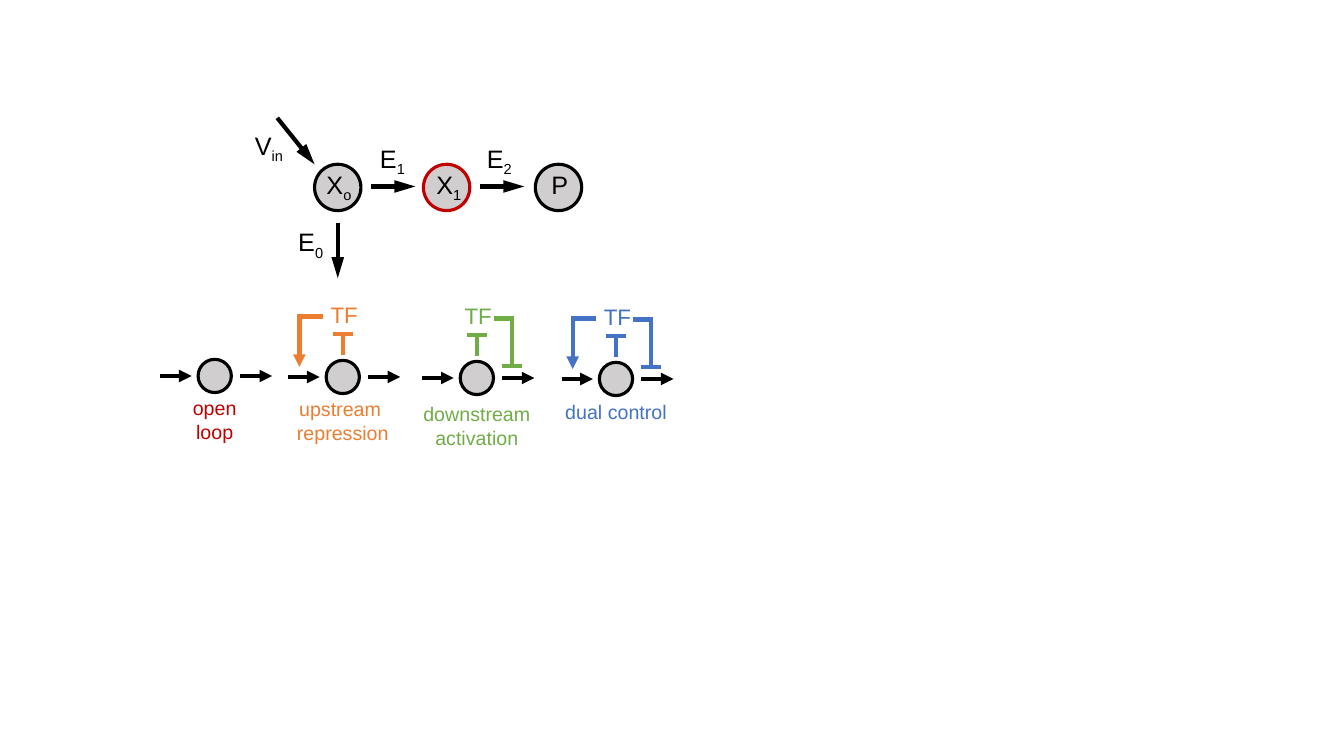
from dataclasses import dataclass

from lxml.etree import SubElement
from pptx import Presentation
from pptx.dml.color import RGBColor
from pptx.enum.shapes import MSO_CONNECTOR, MSO_SHAPE
from pptx.enum.text import MSO_AUTO_SIZE, PP_ALIGN
from pptx.oxml.ns import qn
from pptx.util import Inches, Pt


@dataclass(frozen=True)
class Theme:
    font: str = "Arial"
    black: str = "000000"
    node_fill: str = "D0CECE"
    red: str = "C00000"
    orange: str = "ED7D31"
    green: str = "70AD47"
    blue: str = "4472C4"
    symbol_size: int = 18
    factor_size: int = 16
    label_size: int = 14
    outline: float = 2.25
    stroke: float = 3


THEME = Theme()

# Pathway: centre x of each metabolite, outline colour
PATHWAY_Y = 1.86
METABOLITES = [(3.35, THEME.black), (4.43, THEME.red), (5.54, THEME.black)]
REACTIONS = [
    ((2.75, 1.17), (3.12, 1.63)),
    ((3.68, 1.85), (4.12, 1.85)),
    ((4.76, 1.85), (5.20, 1.85)),
    ((3.35, 2.21), (3.35, 2.76)),
]
# Letter, subscript, box (left, top, width, height)
SYMBOLS = [
    ("X", "o", (3.14, 1.63, 0.46, 0.71)),
    ("X", "1", (4.23, 1.63, 0.46, 0.40)),
    ("P", "", (5.37, 1.63, 0.37, 0.71)),
    ("E", "1", (3.67, 1.37, 0.46, 0.71)),
    ("E", "2", (4.73, 1.37, 0.46, 0.71)),
    ("E", "0", (2.86, 2.20, 0.46, 0.71)),
    ("V", "in", (2.43, 1.24, 0.50, 0.71)),
]

# Control motifs: node centre, colour, label lines, label (top, width, height), feedback sides
MOTIFS = [
    ((3.40, 3.74), THEME.orange, ["upstream ", "repression"], (3.89, 1.12, 0.57), ["left"]),
    ((4.73, 3.75), THEME.green, ["downstream", "activation"], (3.94, 1.27, 0.57), ["right"]),
    ((6.11, 3.76), THEME.blue, ["dual control"], (3.92, 1.21, 0.34), ["left", "right"]),
    ((2.13, 3.73), THEME.red, ["open", "loop"], (3.88, 0.64, 0.57), []),
]

# Strokes as offsets from the node centre: start, end, has arrowhead
FLOW = [((-0.54, 0), (-0.23, 0), True), ((0.25, 0), (0.57, 0), True)]
SENSING = [((0, -0.22), (0, -0.42), False), ((0.10, -0.43), (-0.10, -0.43), False)]
FEEDBACK = {
    "left": [
        ((-0.20, -0.60), (-0.45, -0.60), False),
        ((-0.43, -0.60), (-0.43, -0.10), True),
    ],
    "right": [
        ((0.17, -0.59), (0.37, -0.59), False),
        ((0.35, -0.60), (0.35, -0.10), False),
        ((0.45, -0.12), (0.25, -0.12), False),
    ],
}


def add_node(group, center, diameter, outline):
    left, top = (value - diameter / 2 for value in center)
    shape = group.shapes.add_shape(
        MSO_SHAPE.OVAL, Inches(left), Inches(top), Inches(diameter), Inches(diameter)
    )
    shape.shadow.inherit = False
    shape.fill.solid()
    shape.fill.fore_color.rgb = RGBColor.from_string(THEME.node_fill)
    shape.line.color.rgb = RGBColor.from_string(outline)
    shape.line.width = Pt(THEME.outline)


def add_stroke(group, start, end, color, head_length=None):
    """Draw a line; head_length ("med" or "lg") adds an arrowhead at its end."""
    connector = group.shapes.add_connector(
        MSO_CONNECTOR.STRAIGHT, *(Inches(value) for value in (*start, *end))
    )
    connector.line.color.rgb = RGBColor.from_string(color)
    connector.line.width = Pt(THEME.stroke)
    properties = connector._element.spPr
    if head_length:
        SubElement(
            properties.find(qn("a:ln")), qn("a:tailEnd"),
            type="triangle", w="med", len=head_length,
        )
    SubElement(properties, qn("a:effectLst"))


def add_text(group, box, lines, size, color, alignment=PP_ALIGN.LEFT, subscript=""):
    """Write one paragraph per line, with an optional subscript after the last."""
    shape = group.shapes.add_textbox(*(Inches(value) for value in box))
    text_frame = shape.text_frame
    text_frame.text = "\n".join(lines)
    text_frame.word_wrap = False
    text_frame.auto_size = MSO_AUTO_SIZE.SHAPE_TO_FIT_TEXT
    if subscript:
        run = text_frame.paragraphs[-1].add_run()
        run.text = subscript
        run.font._element.set("baseline", "-25000")
    for paragraph in text_frame.paragraphs:
        paragraph.alignment = alignment
        for run in paragraph.runs:
            run.font.name = THEME.font
            run.font.size = Pt(size)
            run.font.color.rgb = RGBColor.from_string(color)


def add_pathway(slide):
    group = slide.shapes.add_group_shape()
    for center_x, outline in METABOLITES:
        add_node(group, (center_x, PATHWAY_Y), 0.46, outline)
    for start, end in REACTIONS:
        add_stroke(group, start, end, THEME.black, "lg")
    for letter, subscript, box in SYMBOLS:
        add_text(group, box, [letter], THEME.symbol_size, THEME.black, subscript=subscript)


def add_motif(slide, center, color, label, label_box, sides):
    group = slide.shapes.add_group_shape()
    center_x, center_y = center
    add_node(group, center, 0.33, THEME.black)

    strokes = [(stroke, THEME.black) for stroke in FLOW]
    if sides:
        control = SENSING + [stroke for side in sides for stroke in FEEDBACK[side]]
        strokes += [(stroke, color) for stroke in control]
        factor_box = (center_x - 0.22, center_y - 0.80, 0.48, 0.37)
        add_text(group, factor_box, ["TF"], THEME.factor_size, color)
    for ((start_x, start_y), (end_x, end_y), has_head), stroke_color in strokes:
        add_stroke(
            group,
            (center_x + start_x, center_y + start_y),
            (center_x + end_x, center_y + end_y),
            stroke_color,
            "med" if has_head else None,
        )

    top, width, height = label_box
    box = (center_x - width / 2, top, width, height)
    add_text(group, box, label, THEME.label_size, color, PP_ALIGN.CENTER)


def main():
    presentation = Presentation()
    presentation.slide_width = Inches(13.33)
    presentation.slide_height = Inches(7.5)
    slide = presentation.slides.add_slide(presentation.slide_layouts[6])
    add_pathway(slide)
    for motif in MOTIFS:
        add_motif(slide, *motif)
    presentation.save("out.pptx")


if __name__ == "__main__":
    main()
